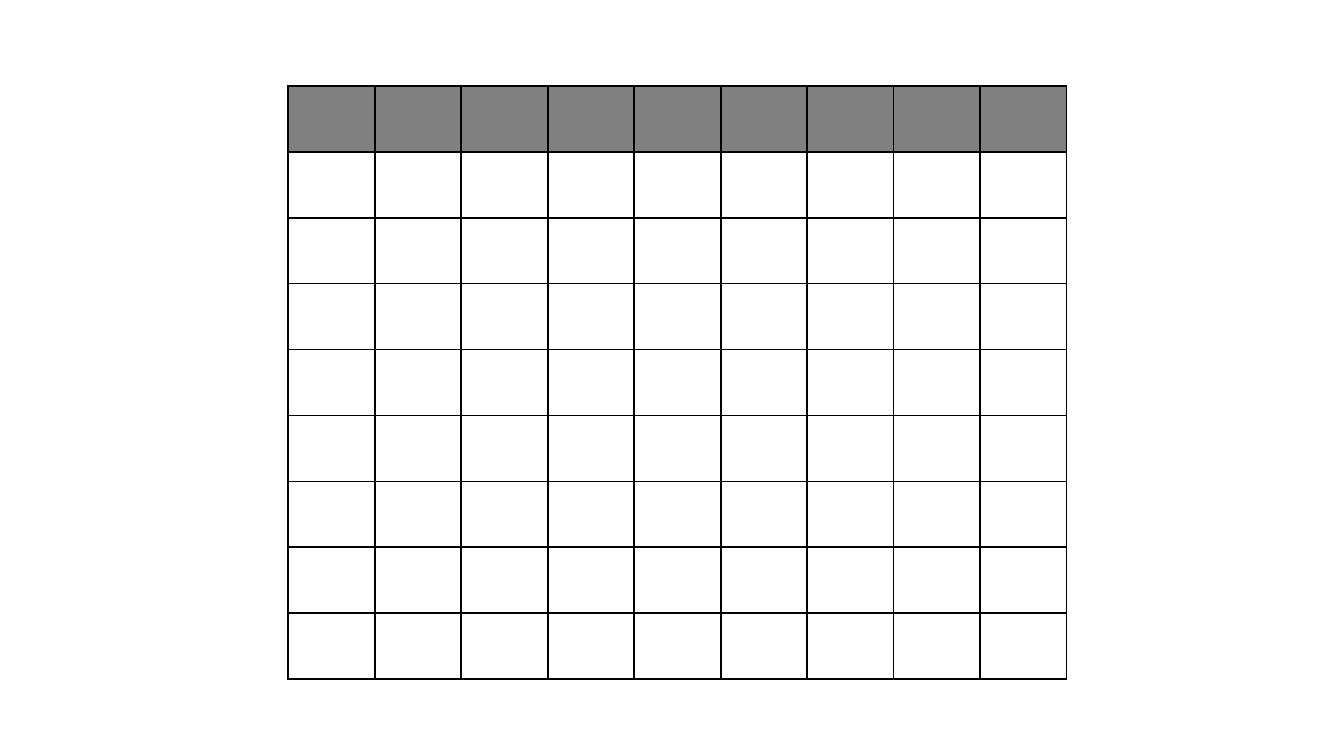
from dataclasses import dataclass

from lxml.etree import SubElement
from pptx import Presentation
from pptx.dml.color import RGBColor
from pptx.oxml.ns import qn
from pptx.util import Inches, Pt


@dataclass(frozen=True)
class Theme:
    header: str = "808080"
    body: str = "FFFFFF"
    border: str = "000000"
    border_width: float = 1.5


THEME = Theme()
BLANK_LAYOUT = 6
GRID_SIZE = 9


def set_borders(cell, color, width):
    properties = cell._tc.get_or_add_tcPr()
    for side in ("lnL", "lnR", "lnT", "lnB"):
        line = SubElement(properties, qn(f"a:{side}"), w=str(Pt(width)))
        fill = SubElement(line, qn("a:solidFill"))
        SubElement(fill, qn("a:srgbClr"), val=color)


def style_cell(cell, fill):
    set_borders(cell, THEME.border, THEME.border_width)
    cell.fill.solid()
    cell.fill.fore_color.rgb = RGBColor.from_string(fill)


def add_grid(page, left, top, width, height, rows, columns):
    frame = page.shapes.add_table(
        rows, columns, Inches(left), Inches(top), Inches(width), Inches(height)
    )
    table = frame.table
    table.horz_banding = False
    for row_index, row in enumerate(table.rows):
        fill = THEME.header if row_index == 0 else THEME.body
        for cell in row.cells:
            style_cell(cell, fill)


def main():
    deck = Presentation()
    deck.slide_width = Inches(13.33)
    deck.slide_height = Inches(7.5)
    page = deck.slides.add_slide(deck.slide_layouts[BLANK_LAYOUT])
    add_grid(page, 2.86, 0.85, 7.72, 5.89, rows=GRID_SIZE, columns=GRID_SIZE)
    deck.save("out.pptx")


main()
